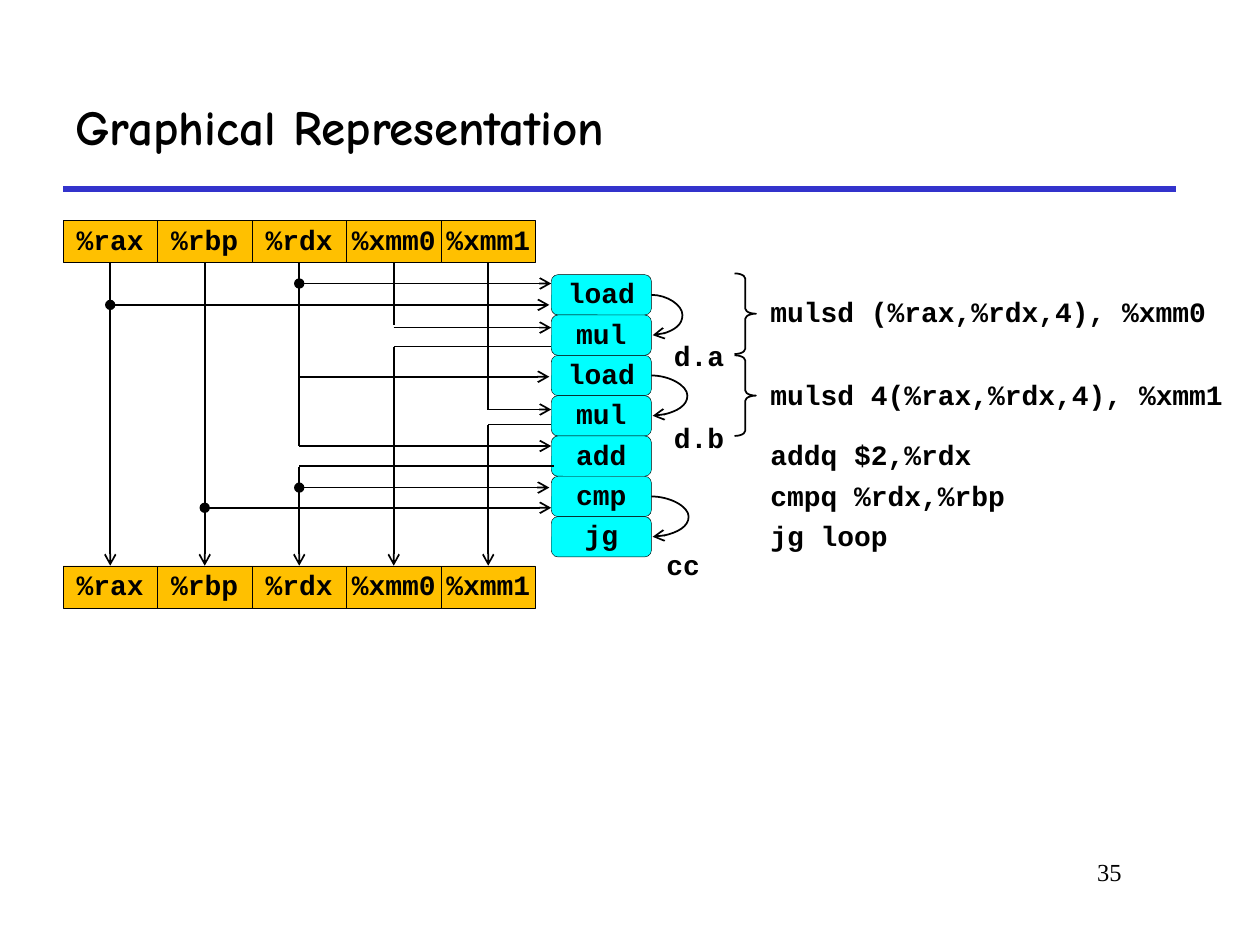
from dataclasses import dataclass

from lxml import etree
from pptx import Presentation
from pptx import util as u
from pptx.dml.color import RGBColor
from pptx.enum import shapes, text
from pptx.oxml.ns import qn

PX = u.Inches(1) // 200
BLACK = RGBColor(0x00, 0x00, 0x00)
BLUE = RGBColor(0x33, 0x33, 0xCC)
GOLD = RGBColor(0xFF, 0xC0, 0x00)
CYAN = RGBColor(0x00, 0xFF, 0xFF)
MONO = "Courier New"
KIND = shapes.MSO_SHAPE
LINK = shapes.MSO_CONNECTOR
ALIGN = text.PP_ALIGN

REGS = ["%rax", "%rbp", "%rdx", "%xmm0", "%xmm1"]
REG_W, REG_H = 150, 67
TOP, END = 350, 898
RAX, RBP, RDX, XMM0, XMM1 = (175 + REG_W * i for i in range(5))
OUT = TOP + REG_H

OPS = ["load", "mul", "load", "mul", "add", "cmp", "jg"]
OP_X, OP_Y, OP_W, OP_H = 875, 436, 159, 64


@dataclass
class Box:
    x: int
    y: int
    w: int
    h: int


@dataclass
class Wire:
    x1: int
    y1: int
    x2: int
    y2: int
    tail: bool = True
    dot: bool = False


@dataclass
class Arc:
    row: int
    bulge: int


@dataclass
class Note:
    words: str
    box: Box


WIRES = [
    Wire(RAX, OUT, RAX, END),
    Wire(RBP, OUT, RBP, END),
    Wire(RDX, OUT, RDX, 708, tail=False),
    Wire(RDX, 742, RDX, END),
    Wire(XMM0, OUT, XMM0, 516, tail=False),
    Wire(XMM0, 550, XMM0, END),
    Wire(XMM1, OUT, XMM1, 650, tail=False),
    Wire(XMM1, 674, XMM1, END),
    Wire(RDX, 450, OP_X, 450, dot=True),
    Wire(RAX, 484, 872, 484, dot=True),
    Wire(XMM0, 520, OP_X, 520),
    Wire(XMM0, 550, OP_X, 550, tail=False),
    Wire(RDX, 598, 872, 598),
    Wire(XMM1, 650, OP_X, 650),
    Wire(XMM1, 674, OP_X, 674, tail=False),
    Wire(RDX, 708, OP_X, 708),
    Wire(RDX, 740, 880, 740, tail=False),
    Wire(RDX, 774, 872, 774, dot=True),
    Wire(RBP, 806, OP_X, 806, dot=True),
]
ARCS = [Arc(0, 50), Arc(2, 58), Arc(5, 60)]
CODE = [
    Note("mulsd (%rax,%rdx,4), %xmm0", Box(1200, 464, 750, 66)),
    Note("mulsd 4(%rax,%rdx,4), %xmm1", Box(1200, 595, 800, 70)),
    Note("addq $2,%rdx", Box(1200, 692, 550, 66)),
    Note("cmpq %rdx,%rbp", Box(1200, 756, 550, 66)),
    Note("jg loop", Box(1200, 820, 550, 66)),
]
TAGS = [
    Note("d.a", Box(1050, 534, 122, 70)),
    Note("d.b", Box(1050, 664, 122, 70)),
    Note("cc", Box(1038, 866, 94, 70)),
]


def area(box: Box) -> list[int]:
    return [v * PX for v in (box.x, box.y, box.w, box.h)]


def write(shape, words: str, *, font=MONO, size=16, bold=True, align=ALIGN.LEFT,
          mid=True, wrap=True, inset=True, space=0.9) -> None:
    frame = shape.text_frame
    frame.word_wrap = wrap
    frame.vertical_anchor = (text.MSO_ANCHOR.MIDDLE if mid
                             else text.MSO_ANCHOR.TOP)
    if not inset:
        frame.margin_left = frame.margin_right = 0
        frame.margin_top = frame.margin_bottom = 0
    para = frame.paragraphs[0]
    para.alignment = align
    para.line_spacing = space
    run = para.add_run()
    run.text = words
    run.font.name = font
    run.font.size = u.Pt(size)
    run.font.bold = bold
    run.font.color.rgb = BLACK


def label(slide, words: str, box: Box, **form) -> None:
    write(slide.shapes.add_textbox(*area(box)), words, **form)


def shape(slide, kind, box: Box, fill=None, line=0.0):
    item = slide.shapes.add_shape(kind, *area(box))
    item.shadow.inherit = False
    if fill is None:
        item.fill.background()
    else:
        item.fill.solid()
        item.fill.fore_color.rgb = fill
    if line:
        item.line.color.rgb = BLACK
        item.line.width = u.Pt(line)
    else:
        item.line.fill.background()
    return item


def cell(slide, kind, words: str, box: Box, fill: RGBColor):
    item = shape(slide, kind, box, fill, 0.25)
    write(item, words, align=ALIGN.CENTER, inset=False)
    return item


def link(slide, wire: Wire, kind=LINK.STRAIGHT, color=BLACK, width=1):
    ends = [v * PX for v in (wire.x1, wire.y1, wire.x2, wire.y2)]
    item = slide.shapes.add_connector(kind, *ends)
    item.line.color.rgb = color
    item.line.width = u.Pt(width)
    pen = item.line._get_or_add_ln()
    if wire.dot:
        etree.SubElement(pen, qn("a:headEnd"), type="oval")
    if wire.tail:
        etree.SubElement(pen, qn("a:tailEnd"), type="arrow")
    etree.SubElement(item._element.spPr, qn("a:effectLst"))
    return item


def bend(slide, arc: Arc) -> None:
    x, y, run = OP_X + OP_W, OP_Y + OP_H * arc.row + OP_H // 2, 2
    item = link(slide, Wire(x, y, x + run, y + OP_H), LINK.CURVE)
    guide = item._element.spPr.find(qn("a:prstGeom")).get_or_add_avLst()
    etree.SubElement(guide, qn("a:gd"), name="adj1",
                     fmla=f"val {arc.bulge * 100000 // run}")


def main() -> None:
    deck = Presentation()
    deck.slide_width, deck.slide_height = 2000 * PX, 1500 * PX
    slide = deck.slides.add_slide(deck.slide_layouts[6])

    link(slide, Wire(100, 300, 1866, 300, tail=False), color=BLUE, width=3)
    label(slide, "Graphical Representation", Box(100, 100, 1766, 200),
          font="Comic Neue", size=28, space=1.0)
    label(slide, "35", Box(1516, 1350, 284, 100), font="Times New Roman",
          size=14, bold=False, align=ALIGN.RIGHT, mid=False, space=1.0)

    ports = {}
    for y, edge, site in ((TOP, OUT, 2), (END, END, 0)):
        for i, name in enumerate(REGS):
            x = 100 + REG_W * i
            item = cell(slide, KIND.RECTANGLE, name,
                        Box(x, y, REG_W, REG_H), GOLD)
            ports[x + REG_W // 2, edge] = item, site
    for i, name in enumerate(OPS):
        cell(slide, KIND.ROUNDED_RECTANGLE, name,
             Box(OP_X, OP_Y + OP_H * i, OP_W, OP_H), CYAN)

    for wire in WIRES:
        item = link(slide, wire)
        if (wire.x1, wire.y1) in ports:
            item.begin_connect(*ports[wire.x1, wire.y1])
        if (wire.x2, wire.y2) in ports:
            item.end_connect(*ports[wire.x2, wire.y2])
    for arc in ARCS:
        bend(slide, arc)

    for y in (434, 564):
        brace = shape(slide, KIND.RIGHT_BRACE, Box(1166, y, 34, 128), line=1)
        brace.adjustments[0] = 0.24
    for note in CODE:
        write(shape(slide, KIND.ROUNDED_RECTANGLE, note.box), note.words)
    for note in TAGS:
        label(slide, note.words, note.box, mid=False, wrap=False)

    deck.save("out.pptx")


if __name__ == "__main__":
    main()
